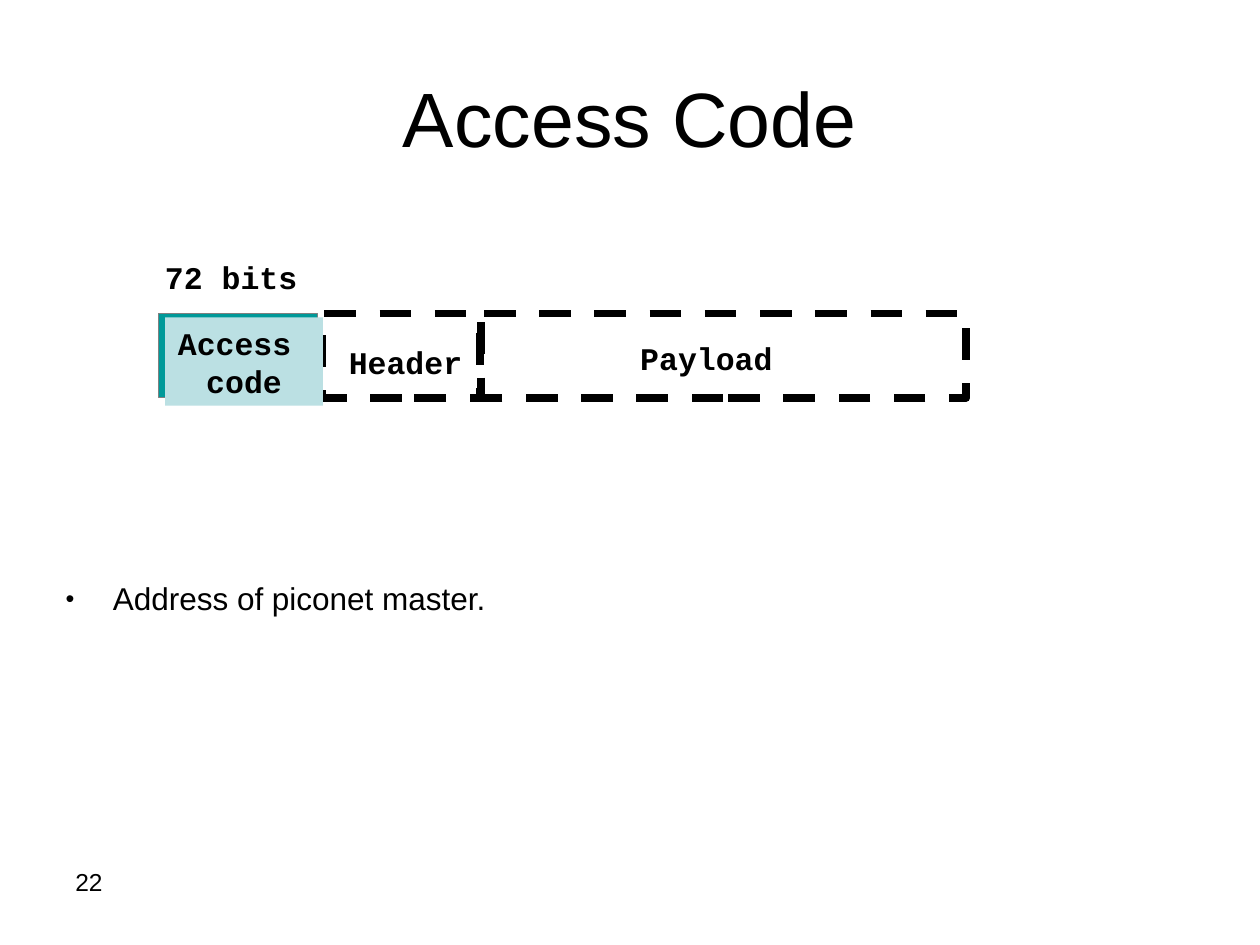
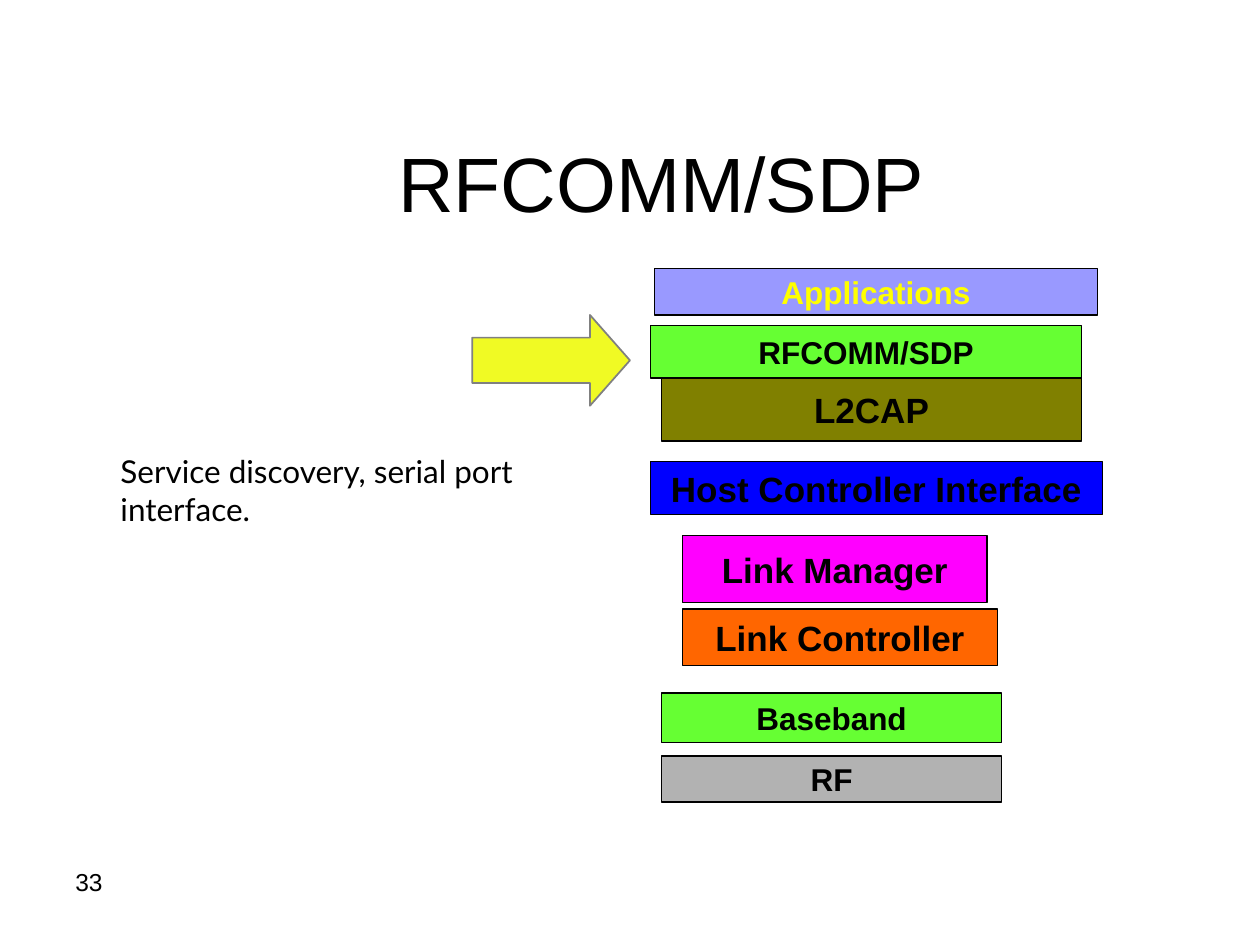
"""Build two slides on a wireless protocol: the access code and the RFCOMM/SDP layer."""
import pptx
import pptx.dml.color
import pptx.enum.dml
import pptx.enum.shapes
import pptx.enum.text
import pptx.util
from lxml import etree
from pptx.oxml.ns import qn

Cm = pptx.util.Cm
Pt = pptx.util.Pt
RGBColor = pptx.dml.color.RGBColor
ALIGN = pptx.enum.text.PP_ALIGN
ANCHOR = pptx.enum.text.MSO_ANCHOR
SHAPE = pptx.enum.shapes.MSO_SHAPE

BLACK = RGBColor(0x00, 0x00, 0x00)
GREY = RGBColor(0x80, 0x80, 0x80)
SILVER = RGBColor(0xB2, 0xB2, 0xB2)
TEAL = RGBColor(0x00, 0x99, 0x99)
PALE_TEAL = RGBColor(0xBB, 0xE0, 0xE3)
LEMON = RGBColor(0xF0, 0xFA, 0x24)
YELLOW = RGBColor(0xFF, 0xFF, 0x00)
GREEN = RGBColor(0x66, 0xFF, 0x33)
MAGENTA = RGBColor(0xFF, 0x00, 0xFF)
OLIVE = RGBColor(0x80, 0x80, 0x00)
LAVENDER = RGBColor(0x99, 0x99, 0xFF)
ORANGE = RGBColor(0xFF, 0x66, 0x00)
BLUE = RGBColor(0x00, 0x00, 0xFF)


def write(holder, text, size=18, font="Arial", color=BLACK, bold=False,
          align=ALIGN.CENTER, anchor=ANCHOR.MIDDLE, wrap=False):
    frame = holder.text_frame
    frame.text = text
    frame.word_wrap = wrap
    frame.auto_size = pptx.enum.text.MSO_AUTO_SIZE.NONE
    frame.vertical_anchor = anchor
    for paragraph in frame.paragraphs:
        paragraph.alignment = align
        for run in paragraph.runs:
            run.font.size = Pt(size)
            run.font.name = font
            run.font.bold = bold
            run.font.color.rgb = color


def add_box(slide, place, fill=None, line=None, width=0.75, kind=SHAPE.RECTANGLE):
    box = slide.shapes.add_shape(kind, *map(Cm, place))
    box.shadow.inherit = False
    if fill is None:
        box.fill.background()
    else:
        box.fill.solid()
        box.fill.fore_color.rgb = fill
    if line is None:
        box.line.fill.background()
    else:
        box.line.color.rgb = line
        box.line.width = Pt(width)
    return box


deck = pptx.Presentation()
deck.slide_width = Cm(25.4)
deck.slide_height = Cm(19.05)

slides = []
for layout, heading, place, number in [
    (1, "Access Code", (1.27, 0.76, 22.86, 3.18), "22"),
    (5, "RFCOMM/SDP", (2.54, 2.97, 21.59, 1.4), "33"),
]:
    slide = deck.slides.add_slide(deck.slide_layouts[layout])
    title = slide.shapes.title
    title.left, title.top, title.width, title.height = map(Cm, place)
    write(title, heading, size=44, wrap=True)
    page_number = slide.shapes.add_textbox(Cm(1.27), Cm(17.35), Cm(5.92), Cm(1.32))
    write(page_number, number, size=14, align=ALIGN.LEFT, anchor=ANCHOR.TOP, wrap=True)
    slides.append(slide)
access_slide, rfcomm_slide = slides

address = access_slide.placeholders[1]
address.left, address.top, address.width, address.height = map(Cm, (1.07, 11.63, 9.37, 2.72))
write(address, "Address of piconet master.", align=ALIGN.LEFT, anchor=ANCHOR.TOP, wrap=True)
address_line = address.text_frame.paragraphs[0]
address_line.line_spacing = 0.9
address_line.space_before = Pt(4.5)
bullet = address_line._p.get_or_add_pPr()
bullet.set("marL", str(Cm(0.95)))
bullet.set("indent", str(-Cm(0.95)))
etree.SubElement(bullet, qn("a:buSzPct"), val="80000")
etree.SubElement(bullet, qn("a:buFont"), typeface="Arial")
etree.SubElement(bullet, qn("a:buChar"), char="\u2022")

FIELD_TOP, FIELD_HEIGHT = 6.32, 1.7
add_box(access_slide, (3.2, FIELD_TOP, 3.2, FIELD_HEIGHT), TEAL, GREY)
for left, width in [(9.68, 9.8), (6.5, 3.2)]:
    field = add_box(access_slide, (left, FIELD_TOP, width, FIELD_HEIGHT), line=BLACK, width=4.5)
    field.line.dash_style = pptx.enum.dml.MSO_LINE.DASH

access_code = add_box(access_slide, (3.33, 6.4, 3.18, 1.78), PALE_TEAL)
write(access_code, "Access \ncode", font="Courier New", bold=True)
for text, left, top, width in [
    ("Header", 6.78, 6.78, 2.79),
    ("Payload", 12.65, 6.71, 3.18),
    ("72 bits", 3.07, 5.08, 3.18),
]:
    label = access_slide.shapes.add_textbox(Cm(left), Cm(top), Cm(width), Cm(1.02))
    write(label, text, font="Courier New", bold=True)

pointer = add_box(rfcomm_slide, (9.52, 6.35, 3.18, 1.83), LEMON, GREY, 1, SHAPE.RIGHT_ARROW)
pointer.adjustments[0] = 0.5
pointer.adjustments[1] = 0.44

for text, place, fill, size, color in [
    ("Applications", (13.19, 5.41, 8.94, 0.94), LAVENDER, 18, YELLOW),
    ("RFCOMM/SDP", (13.12, 6.56, 8.68, 1.06), GREEN, 18, BLACK),
    ("L2CAP", (13.34, 7.62, 8.46, 1.27), OLIVE, 20, BLACK),
    ("Host Controller Interface", (13.12, 9.31, 9.1, 1.06), BLUE, 20, BLACK),
    ("Link Manager", (13.76, 10.8, 6.14, 1.35), MAGENTA, 20, BLACK),
    ("Link Controller", (13.76, 12.28, 6.35, 1.14), ORANGE, 20, BLACK),
    ("Baseband", (13.34, 13.97, 6.85, 1), GREEN, 18, BLACK),
    ("RF", (13.34, 15.24, 6.85, 0.93), SILVER, 18, BLACK),
]:
    layer = add_box(rfcomm_slide, place, fill, BLACK)
    write(layer, text, size=size, color=color, bold=True)

purpose = rfcomm_slide.shapes.add_textbox(Cm(2.18), Cm(8.99), Cm(9.14), Cm(1.78))
write(purpose, "Service discovery, serial port\ninterface.", font="Lato",
      align=ALIGN.LEFT, anchor=ANCHOR.TOP)

deck.save("out.pptx")
